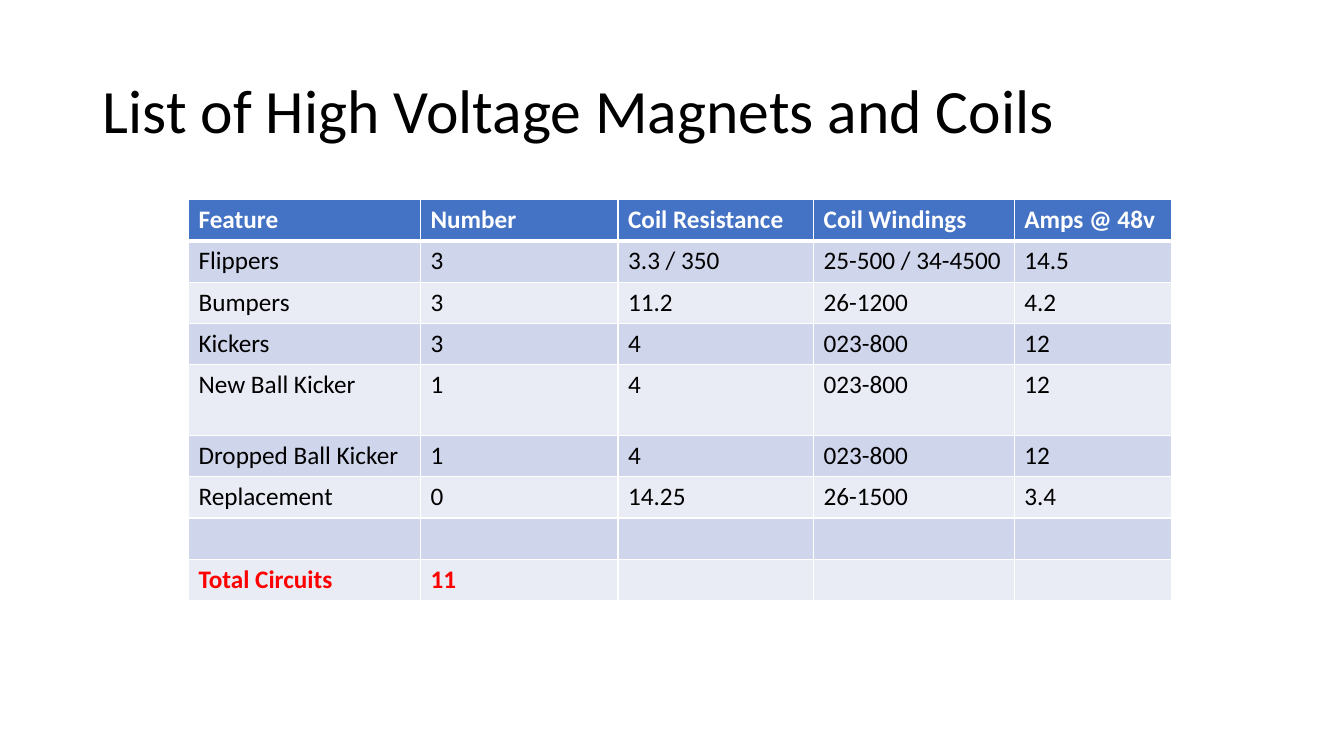
from dataclasses import dataclass

from lxml.etree import SubElement
from pptx import Presentation
from pptx.dml.color import RGBColor as RGB
from pptx.enum.text import MSO_ANCHOR as Anchor, PP_ALIGN as Align
from pptx.oxml.ns import qn
from pptx.util import Inches, Pt

HEADINGS = ["Feature", "Number", "Coil Resistance", "Coil Windings", "Amps @ 48v"]
COILS = [
    ["Flippers", "3", "3.3 / 350", "25-500 / 34-4500", "14.5"],
    ["Bumpers", "3", "11.2", "26-1200", "4.2"],
    ["Kickers", "3", "4", "023-800", "12"],
    ["New Ball Kicker", "1", "4", "023-800", "12"],
    ["Dropped Ball Kicker", "1", "4", "023-800", "12"],
    ["Replacement", "0", "14.25", "26-1500", "3.4"],
]
SPACER = [""] * len(HEADINGS)
TOTAL = ["Total Circuits", "11", "", "", ""]
COLUMN_WIDTHS = [2.3, 1.96, 1.94, 1.99, 1.56]
ROW_HEIGHT = 0.41
TALL_ROW, TALL_HEIGHT = 4, 0.7


@dataclass(frozen=True)
class Theme:
    font: str = "Calibri"
    title_size: int = 44
    cell_size: int = 18
    ink: str = "000000"
    white: str = "FFFFFF"
    header: str = "4472C4"
    bands: tuple = ("CFD5EA", "E9EBF5")
    total: str = "FF0000"
    rule: int = 1
    header_rule: int = 3


class SlideBuilder:
    def __init__(self, slide, theme):
        self.slide = slide
        self.theme = theme

    def style(self, paragraph, size, color, bold=False):
        font = paragraph.font
        font.name = self.theme.font
        font.size = Pt(size)
        font.bold = bold
        font.color.rgb = RGB.from_string(color)

    def title(self, wording, left, top, width, height):
        title = self.slide.shapes.title
        title.left, title.top = Inches(left), Inches(top)
        title.width, title.height = Inches(width), Inches(height)
        frame = title.text_frame
        frame.text = wording
        frame.vertical_anchor = Anchor.MIDDLE
        heading = frame.paragraphs[0]
        heading.alignment = Align.LEFT
        heading.line_spacing = 0.9
        self.style(heading, self.theme.title_size, self.theme.ink)

    def borders(self, cell, top, bottom):
        properties = cell._tc.get_or_add_tcPr()
        rule = self.theme.rule
        for side, points in zip("LRTB", (rule, rule, top, bottom)):
            line = SubElement(properties, qn(f"a:ln{side}"), w=str(Pt(points)))
            fill = SubElement(line, qn("a:solidFill"))
            SubElement(fill, qn("a:srgbClr"), val=self.theme.white)

    def cell(self, cell, wording, fill, color, bold, top, bottom):
        self.borders(cell, top, bottom)
        cell.fill.solid()
        cell.fill.fore_color.rgb = RGB.from_string(fill)
        cell.text = wording
        self.style(cell.text_frame.paragraphs[0], self.theme.cell_size, color, bold)

    def table(self, rows, left, top):
        """Draw rows as a banded table: header first, total last."""
        theme = self.theme
        heights = [ROW_HEIGHT] * len(rows)
        heights[TALL_ROW] = TALL_HEIGHT
        table = self.slide.shapes.add_table(
            len(rows), len(COLUMN_WIDTHS), Inches(left), Inches(top),
            Inches(sum(COLUMN_WIDTHS)), Inches(sum(heights))).table
        for column, width in zip(table.columns, COLUMN_WIDTHS):
            column.width = Inches(width)
        for r, (row, height) in enumerate(zip(rows, heights)):
            table.rows[r].height = Inches(height)
            is_header, is_total = r == 0, r == len(rows) - 1
            fill = theme.header if is_header else theme.bands[(r - 1) % 2]
            color = theme.white if is_header else theme.total if is_total else theme.ink
            above = theme.header_rule if r == 1 else theme.rule
            below = theme.header_rule if is_header else theme.rule
            for c, wording in enumerate(row):
                self.cell(table.cell(r, c), wording, fill, color,
                          is_header or is_total, above, below)


def main():
    deck = Presentation()
    deck.slide_width, deck.slide_height = Inches(13.33), Inches(7.5)
    title_only = deck.slide_layouts[5]
    builder = SlideBuilder(deck.slides.add_slide(title_only), Theme())
    builder.title("List of High Voltage Magnets and Coils", 0.92, 0.4, 11.5, 1.45)
    builder.table([HEADINGS, *COILS, SPACER, TOTAL], 1.87, 1.98)
    deck.save("out.pptx")


if __name__ == "__main__":
    main()
